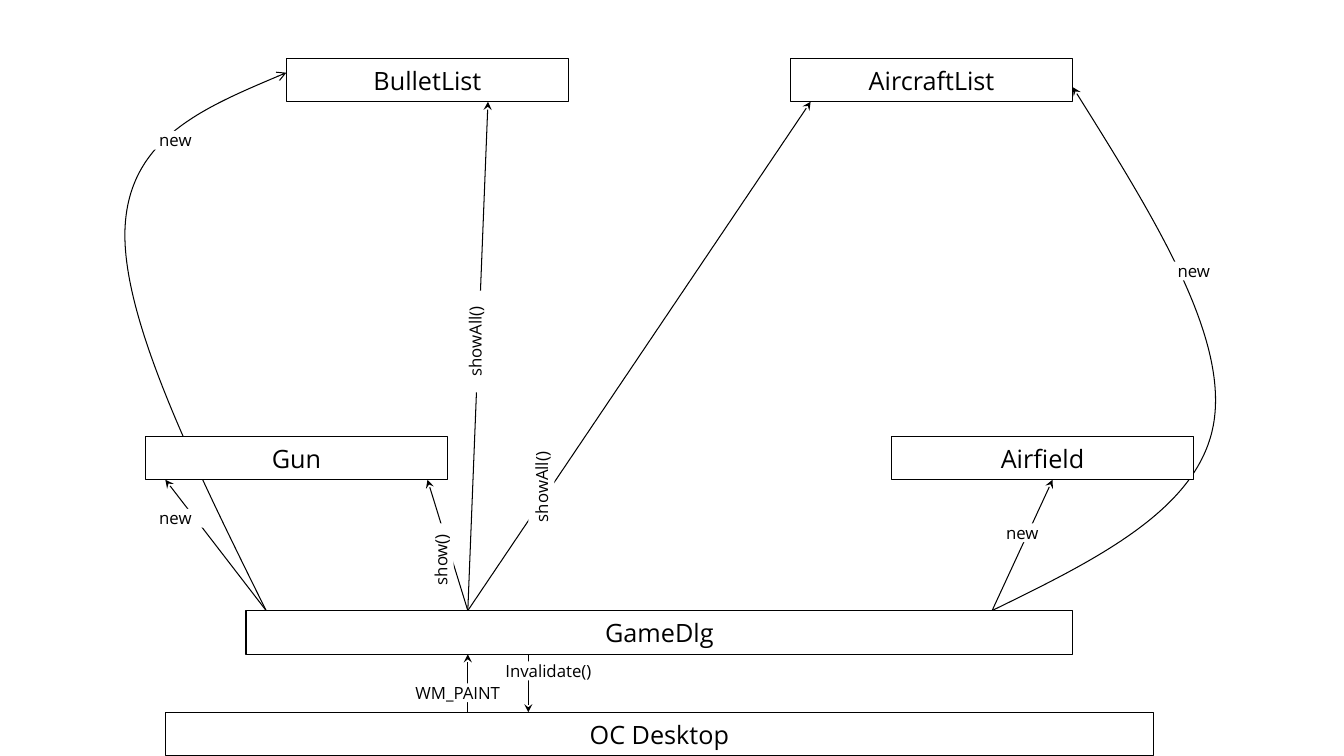
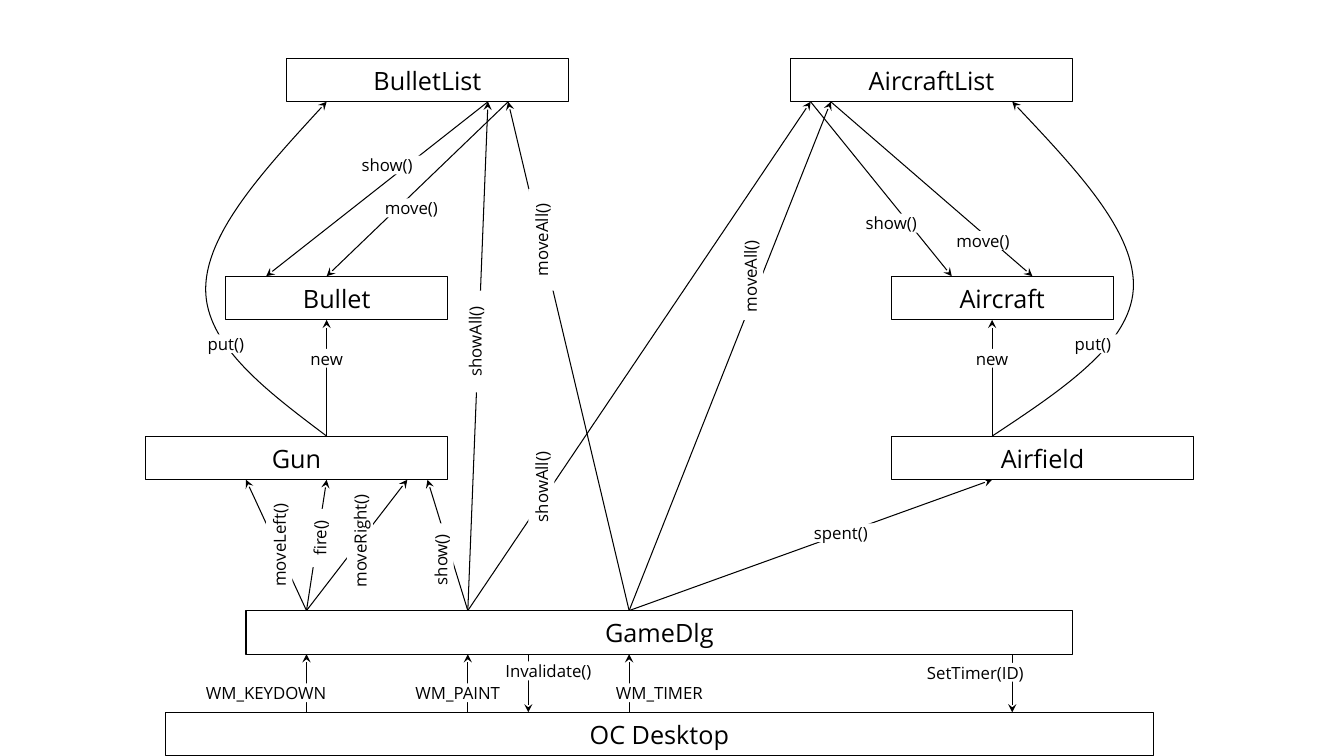
from dataclasses import dataclass
from typing import Optional

from lxml import etree
from pptx import Presentation
from pptx.dml.color import RGBColor
from pptx.enum.shapes import MSO_CONNECTOR, MSO_SHAPE
from pptx.enum.text import MSO_ANCHOR, PP_ALIGN
from pptx.oxml.ns import qn
from pptx.util import Inches, Pt

SLIDE_W, SLIDE_H = Inches(13.33), Inches(7.5)
LEFT_EDGE, COLUMN = Inches(0.04), Inches(0.2)
ROW = SLIDE_H / 52
BOX_ROWS = 3
LABEL_DEPTH = 1.3  # rows for level labels, columns for upright ones

INK = RGBColor(0x00, 0x00, 0x00)
PAPER = RGBColor(0xFF, 0xFF, 0xFF)
FONT = "Open Sans"
BOX_SIZE, LABEL_SIZE, LINE_WIDTH = Pt(18), Pt(12), Pt(0.75)

Point = tuple[float, float]  # column, row

# Rows where boxes start, and where arrows leave or meet their lower edges
LIST_TOP, ITEM_TOP, SOURCE_TOP, DIALOG_TOP, SYSTEM_TOP = 4, 19, 30, 42, 49
LIST_BASE, ITEM_BASE, SOURCE_BASE, DIALOG_BASE = (
    top + BOX_ROWS for top in (LIST_TOP, ITEM_TOP, SOURCE_TOP, DIALOG_TOP))


@dataclass(frozen=True)
class Box:
    """A named object of the program."""
    name: str
    col: float
    row: float
    cols: float


@dataclass(frozen=True)
class Label:
    """A call name; span counts columns, or rows when upright."""
    text: str
    col: float
    row: float
    span: float
    upright: bool = False


@dataclass(frozen=True)
class Call:
    """An arrow with its label; it bends when it has a via point."""
    start: Point
    end: Point
    label: Label
    via: Optional[Point] = None
    head: str = "stealth"


SHARED_BOXES = [
    Box("GameDlg", 12, DIALOG_TOP, 41),
    Box("OC Desktop", 8, SYSTEM_TOP, 49),
    Box("BulletList", 14, LIST_TOP, 14),
    Box("AircraftList", 39, LIST_TOP, 14),
    Box("Gun", 7, SOURCE_TOP, 15),
    Box("Airfield", 44, SOURCE_TOP, 15),
]
ITEM_BOXES = [
    Box("Bullet", 11, ITEM_TOP, 11),
    Box("Aircraft", 44, ITEM_TOP, 11),
]

PAINT, TIMER, KEY = (23, DIALOG_TOP), (31, DIALOG_TOP), (15, DIALOG_TOP)

SHARED_CALLS = [
    Call((23, SYSTEM_TOP), (23, DIALOG_BASE), Label("WM_PAINT", 19, 47, 7)),
    Call((26, DIALOG_BASE), (26, SYSTEM_TOP), Label("Invalidate()", 23.65, 45.5, 6.7)),
    Call(PAINT, (24, LIST_BASE), Label("showAll()", 22.7, 20, 7, True)),
    Call(PAINT, (21, SOURCE_BASE), Label("show()", 21, 36, 5, True)),
    Call(PAINT, (40, LIST_BASE), Label("showAll()", 26, 30, 7, True)),
]
CREATION_CALLS = [
    Call((49, DIALOG_TOP), (52, SOURCE_BASE), Label("new", 49, 36, 3)),
    Call((13, DIALOG_TOP), (8, SOURCE_BASE), Label("new", 7, 35, 3)),
    Call((13, DIALOG_TOP), (14, 5), Label("new", 7, 9, 3), (6, 15.75), "arrow"),
    Call((49, DIALOG_TOP), (53, 6), Label("new", 57, 18, 4), (60, 29)),
]
GAME_CALLS = [
    Call((31, SYSTEM_TOP), (31, DIALOG_BASE), Label("WM_TIMER", 29, 47, 7)),
    Call((50, DIALOG_BASE), (50, SYSTEM_TOP), Label("SetTimer(ID)", 44.35, 45.6, 7.65)),
    Call((15, SYSTEM_TOP), (15, DIALOG_BASE), Label("WM_KEYDOWN", 8, 47, 10)),
    Call((16, SOURCE_TOP), (16, LIST_BASE), Label("put()", 9, 23, 4), (10, 19.9)),
    Call((49, SOURCE_TOP), (50, LIST_BASE), Label("put()", 52, 23, 4), (56, 19.9)),
    Call(KEY, (16, SOURCE_BASE), Label("fire()", 15, 35, 4, True)),
    Call(KEY, (20, SOURCE_BASE), Label("moveRight()", 17, 33.35, 7.7, True)),
    Call(KEY, (12, SOURCE_BASE), Label("moveLeft()", 13, 34, 7, True)),
    Call(TIMER, (25, LIST_BASE), Label("moveAll()", 26, 13, 7, True)),
    Call(TIMER, (41, LIST_BASE), Label("moveAll()", 36.35, 16, 6, True)),
    Call((24, LIST_BASE), (13, ITEM_TOP), Label("show()", 17, 10.7, 4)),
    Call((40, LIST_BASE), (47, ITEM_TOP), Label("show()", 42, 14.7, 4)),
    Call((25, LIST_BASE), (16, ITEM_TOP), Label("move()", 18, 13.65, 4.4)),
    Call((41, LIST_BASE), (51, ITEM_TOP), Label("move()", 46.35, 15.9, 4.4)),
    Call((16, SOURCE_TOP), (16, ITEM_BASE), Label("new", 14, 24, 4)),
    Call((49, SOURCE_TOP), (49, ITEM_BASE), Label("new", 47, 24, 4)),
    Call(TIMER, (49, SOURCE_BASE), Label("spent()", 39, 36, 5)),
]


def place(point: Point) -> tuple[int, int]:
    """Turn a grid point into slide lengths."""
    return round(LEFT_EDGE + point[0] * COLUMN), round(point[1] * ROW)


def blend(a: Point, b: Point, share: float = 0.5) -> Point:
    """Return the point at a share of the way from a to b."""
    return a[0] + (b[0] - a[0]) * share, a[1] + (b[1] - a[1]) * share


def add_text_rect(slide, col: float, row: float, cols: float, rows: float,
                  text: str, size: int):
    """Add a white rectangle with centred text."""
    shape = slide.shapes.add_shape(MSO_SHAPE.RECTANGLE, *place((col, row)),
                                   round(cols * COLUMN), round(rows * ROW))
    shape.shadow.inherit = False
    shape.fill.solid()
    shape.fill.fore_color.rgb = PAPER
    shape.line.fill.background()
    frame = shape.text_frame
    frame.word_wrap = True
    frame.vertical_anchor = MSO_ANCHOR.MIDDLE
    paragraph = frame.paragraphs[0]
    paragraph.alignment = PP_ALIGN.CENTER
    run = paragraph.add_run()
    run.text = text
    run.font.name, run.font.size = FONT, size
    run.font.color.rgb = INK
    return shape


def set_line(line) -> None:
    """Give a line the common colour and width."""
    line.color.rgb = INK
    line.width = LINE_WIDTH


def draw_box(slide, box: Box) -> None:
    """Draw an outlined object box."""
    shape = add_text_rect(slide, box.col, box.row, box.cols, BOX_ROWS, box.name, BOX_SIZE)
    set_line(shape.line)


def draw_label(slide, label: Label) -> None:
    """Draw a label that interrupts its arrow."""
    cols, rows = (LABEL_DEPTH, label.span) if label.upright else (label.span, LABEL_DEPTH)
    shape = add_text_rect(slide, label.col, label.row, cols, rows, label.text, LABEL_SIZE)
    frame = shape.text_frame
    frame.margin_left = frame.margin_right = frame.margin_top = frame.margin_bottom = 0
    if label.upright:
        shape.text_frame._txBody.bodyPr.set("vert", "vert270")


def add_curve(slide, start: Point, via: Point, end: Point):
    """Add a smooth two-part curve through via, parallel there to the chord."""
    lead_in = (via[0] + (start[0] - end[0]) / 6, via[1] + (start[1] - end[1]) / 6)
    lead_out = blend(lead_in, via, 2)
    points = [blend(start, lead_in), lead_in, via, lead_out, blend(lead_out, end), end]
    builder = slide.shapes.build_freeform(*place(start))
    builder.add_line_segments([place(point) for point in points], close=False)
    curve = builder.convert_to_shape()
    path = curve._element.find(".//" + qn("a:path"))
    segments = path.findall(qn("a:lnTo"))
    for first in range(0, len(segments), 3):
        bend = etree.SubElement(path, qn("a:cubicBezTo"))
        for segment in segments[first:first + 3]:
            bend.append(segment[0])
            path.remove(segment)
    curve.shadow.inherit = False
    curve.fill.background()
    return curve


def add_straight(slide, start: Point, end: Point):
    """Add a straight connector without a shadow."""
    connector = slide.shapes.add_connector(MSO_CONNECTOR.STRAIGHT, *place(start), *place(end))
    etree.SubElement(connector._element.spPr, qn("a:effectLst"))
    return connector


def draw_call(slide, call: Call) -> None:
    """Draw an arrow and then its label."""
    if call.via:
        arrow = add_curve(slide, call.start, call.via, call.end)
    else:
        arrow = add_straight(slide, call.start, call.end)
    set_line(arrow.line)
    etree.SubElement(arrow.line._get_or_add_ln(), qn("a:tailEnd"), type=call.head)
    draw_label(slide, call.label)


def draw_diagram(prs, boxes: list[Box], calls: list[Call]) -> None:
    """Add a slide with arrows below the boxes they join."""
    slide = prs.slides.add_slide(prs.slide_layouts[6])
    slide.background.fill.solid()
    slide.background.fill.fore_color.rgb = PAPER
    for call in calls:
        draw_call(slide, call)
    for box in boxes:
        draw_box(slide, box)


def main() -> None:
    """Build both diagrams and save them."""
    prs = Presentation()
    prs.slide_width, prs.slide_height = SLIDE_W, SLIDE_H
    draw_diagram(prs, SHARED_BOXES, CREATION_CALLS + SHARED_CALLS)
    draw_diagram(prs, SHARED_BOXES + ITEM_BOXES, SHARED_CALLS + GAME_CALLS)
    prs.save("out.pptx")


main()
